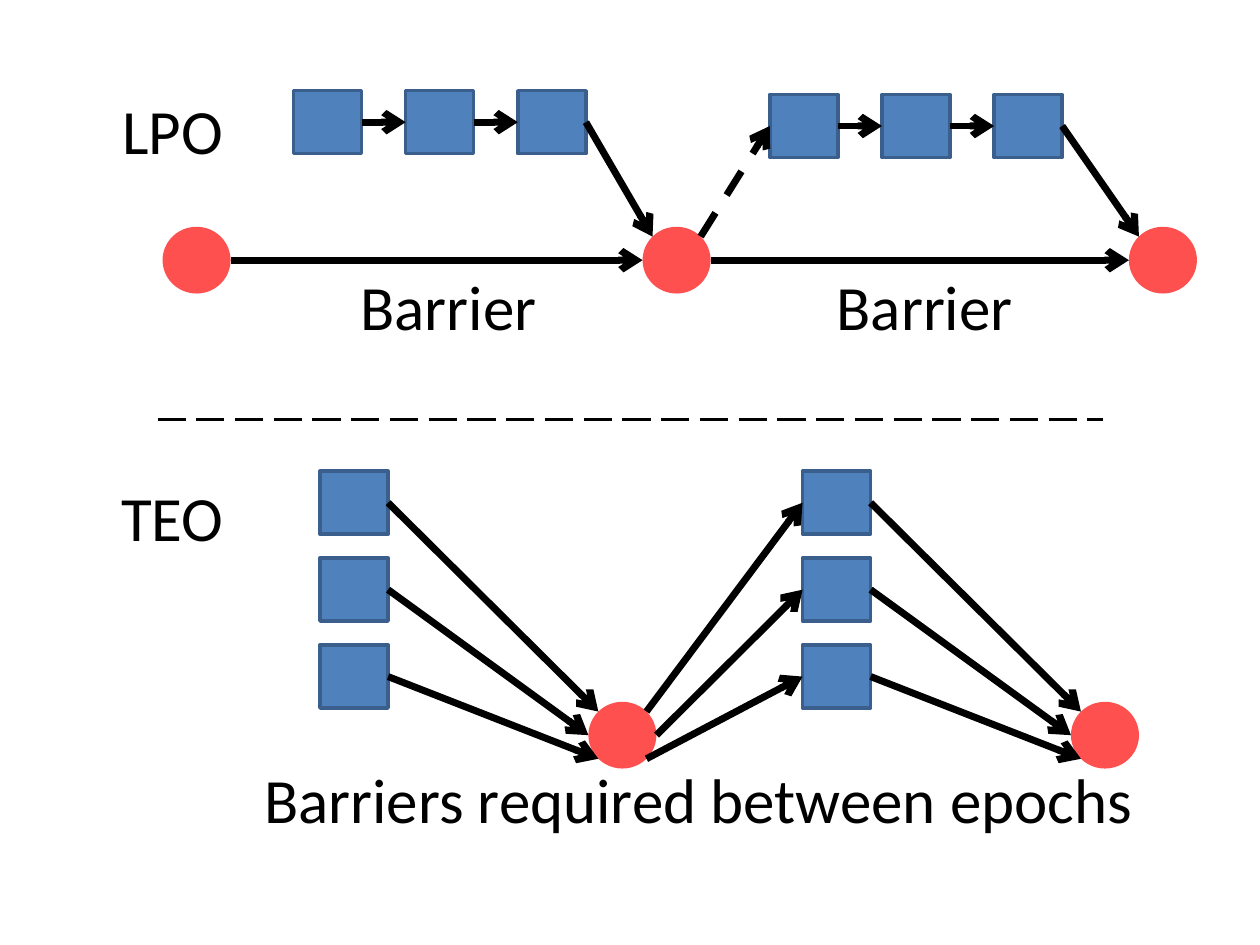
"""Compare the ordering of epochs and barriers under LPO and TEO."""
from dataclasses import dataclass
from math import cos, pi, sin

from lxml import etree
from pptx import Presentation
from pptx.dml.color import RGBColor
from pptx.enum.dml import MSO_LINE
from pptx.enum.shapes import MSO_CONNECTOR, MSO_SHAPE
from pptx.enum.text import MSO_AUTO_SIZE, PP_ALIGN
from pptx.oxml.ns import qn
from pptx.util import Inches, Pt

STRAIGHT = MSO_CONNECTOR.STRAIGHT
SQUARE, CIRCLE = MSO_SHAPE.RECTANGLE, MSO_SHAPE.OVAL
DASH, LONG_DASH = MSO_LINE.DASH, MSO_LINE.LONG_DASH
CENTER, RIGHT = PP_ALIGN.CENTER, PP_ALIGN.RIGHT
GROW = MSO_AUTO_SIZE.SHAPE_TO_FIT_TEXT
LEFT_SIDE, RIGHT_SIDE = 1, 3
EAST, SOUTH_EAST, SOUTH_WEST, WEST, NORTH_WEST, NORTH_EAST = (
    0, pi / 4, 3 * pi / 4, pi, 5 * pi / 4, 7 * pi / 4)
TASK_WIDTH, TASK_HEIGHT = 0.54, 0.5
BARRIER_WIDTH, BARRIER_HEIGHT = 0.54, 0.53


@dataclass(frozen=True)
class Theme:
    """Colours, font and sizes of the slide."""
    ink: RGBColor = RGBColor(0x00, 0x00, 0x00)
    task: RGBColor = RGBColor(0x4F, 0x81, 0xBD)
    task_edge: RGBColor = RGBColor(0x3A, 0x5F, 0x8C)
    barrier: RGBColor = RGBColor(0xFF, 0x50, 0x50)
    font: str = "Calibri"
    text_size: Pt = Pt(36)
    arrow_width: Pt = Pt(4)
    thin_width: Pt = Pt(2)


THEME = Theme()


def add_task(slide, left, top):
    """Add one blue task square."""
    task = slide.shapes.add_shape(
        SQUARE, Inches(left), Inches(top), Inches(TASK_WIDTH), Inches(TASK_HEIGHT))
    task.shadow.inherit = False
    task.fill.solid()
    task.fill.fore_color.rgb = THEME.task
    task.line.color.rgb = THEME.task_edge
    task.line.width = THEME.thin_width
    return task


def add_barrier(slide, left, top):
    """Add one red barrier circle."""
    barrier = slide.shapes.add_shape(
        CIRCLE, Inches(left), Inches(top), Inches(BARRIER_WIDTH), Inches(BARRIER_HEIGHT))
    barrier.shadow.inherit = False
    barrier.fill.solid()
    barrier.fill.fore_color.rgb = THEME.barrier
    barrier.line.fill.background()
    return barrier


def add_label(slide, text, left, top, width, align=CENTER):
    """Add a one-line label."""
    label = slide.shapes.add_textbox(
        Inches(left), Inches(top), Inches(width), Inches(0.71))
    frame = label.text_frame
    frame.word_wrap = True
    frame.auto_size = GROW
    frame.text = text
    paragraph = frame.paragraphs[0]
    paragraph.alignment = align
    font = paragraph.runs[0].font
    font.name, font.size = THEME.font, THEME.text_size
    font.color.rgb = THEME.ink


def add_line(slide, start, end, width, dash=None):
    """Add a plain straight line between two points."""
    line = slide.shapes.add_connector(STRAIGHT, *start, *end)
    line.line.color.rgb = THEME.ink
    line.line.width = width
    if dash is not None:
        line.line.dash_style = dash
    etree.SubElement(line._element.spPr, qn("a:effectLst"))
    return line


def add_arrow(slide, start, end, dash=None):
    """Add an arrow between two points."""
    arrow = add_line(slide, start, end, THEME.arrow_width, dash)
    outline = arrow.line._get_or_add_ln()
    etree.SubElement(outline, qn("a:tailEnd"), type="arrow")
    return arrow


def rim(barrier, angle):
    """Return the point on a barrier's edge at a clockwise angle from east."""
    return (round(barrier.left + barrier.width / 2 * (1 + cos(angle))),
            round(barrier.top + barrier.height / 2 * (1 + sin(angle))))


def side(task, site):
    """Return the middle of a task's left or right side."""
    x = task.left + (task.width if site == RIGHT_SIDE else 0)
    return x, task.top + task.height // 2


def link_tasks(slide, first, second):
    """Point from one task to the next."""
    arrow = add_arrow(slide, side(first, RIGHT_SIDE), side(second, LEFT_SIDE))
    arrow.begin_connect(first, RIGHT_SIDE)
    arrow.end_connect(second, LEFT_SIDE)


def enter_barrier(slide, task, barrier, angle):
    """Point from a task to a barrier."""
    arrow = add_arrow(slide, side(task, RIGHT_SIDE), rim(barrier, angle))
    arrow.begin_connect(task, RIGHT_SIDE)


def leave_barrier(slide, barrier, angle, task, dash=None):
    """Point from a barrier to a task."""
    arrow = add_arrow(slide, rim(barrier, angle), side(task, LEFT_SIDE), dash)
    arrow.end_connect(task, LEFT_SIDE)


def add_chain(slide, left, top):
    """Add three tasks in a row, linked in order."""
    tasks = [add_task(slide, left + 0.89 * i, top) for i in range(3)]
    for first, second in zip(tasks, tasks[1:]):
        link_tasks(slide, first, second)
    return tasks


def add_epoch(slide, left):
    """Add three stacked tasks that all lead to one barrier."""
    tasks = [add_task(slide, left, 3.74 + 0.69 * i) for i in range(3)]
    barrier = add_barrier(slide, left + 2.13, 5.57)
    for task, angle in zip(tasks, (NORTH_WEST, WEST, SOUTH_WEST)):
        enter_barrier(slide, task, barrier, angle)
    return tasks, barrier


def add_lpo(slide):
    """Draw the LPO half: chained tasks above a line of barriers."""
    add_label(slide, "LPO", 0.29, 0.68, 1.58, RIGHT)
    barriers = [add_barrier(slide, left, 1.8) for left in (1.29, 5.1, 8.96)]
    chains = [add_chain(slide, 2.33, 0.72), add_chain(slide, 6.11, 0.75)]
    for first, second, chain in zip(barriers, barriers[1:], chains):
        add_arrow(slide, rim(first, EAST), rim(second, WEST))
        enter_barrier(slide, chain[-1], second, NORTH_WEST)
    leave_barrier(slide, barriers[1], NORTH_EAST, chains[1][0], DASH)
    for left in (2.61, 6.39):
        add_label(slide, "Barrier", left, 2.07, 1.9)


def add_teo(slide):
    """Draw the TEO half: parallel tasks with barriers between epochs."""
    add_label(slide, "TEO", 0.29, 3.75, 1.58, RIGHT)
    barrier = add_epoch(slide, 2.54)[1]
    next_tasks = add_epoch(slide, 6.37)[0]
    for angle, task in zip((NORTH_EAST, EAST, SOUTH_EAST), next_tasks):
        leave_barrier(slide, barrier, angle, task)
    add_label(slide, "Barriers required between epochs", 1.88, 5.99, 7.33)


def main():
    """Build and save the slide."""
    deck = Presentation()
    deck.slide_width, deck.slide_height = Inches(10), Inches(7.5)
    slide = deck.slides.add_slide(deck.slide_layouts[6])
    add_lpo(slide)
    add_line(slide, (Inches(1.25), Inches(3.33)), (Inches(8.75), Inches(3.33)),
             THEME.thin_width, LONG_DASH)
    add_teo(slide)
    deck.save("out.pptx")


if __name__ == "__main__":
    main()
